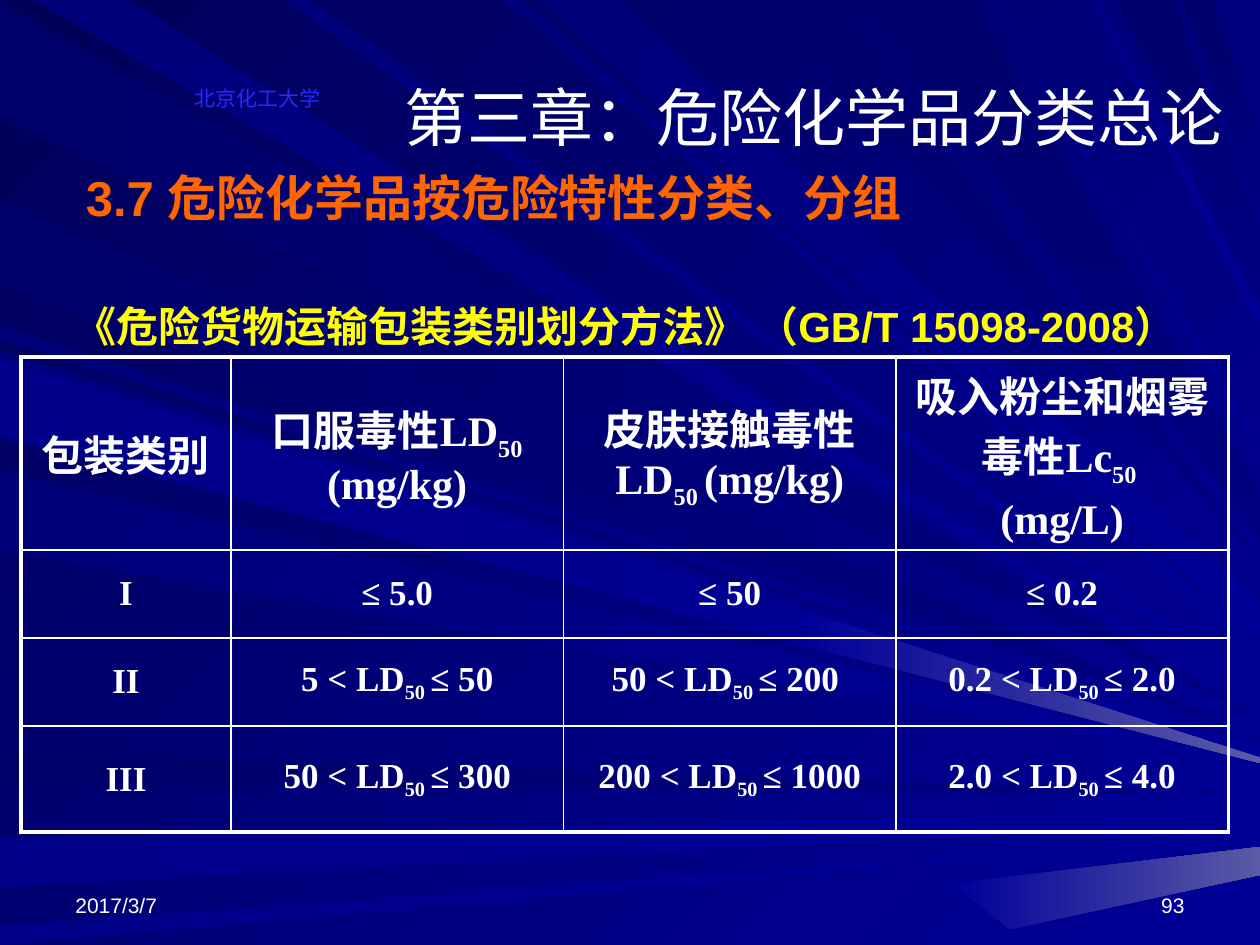
from dataclasses import dataclass

from lxml import etree
from pptx import Presentation
from pptx import util as u
from pptx.dml.color import RGBColor
from pptx.enum import text
from pptx.oxml import ns


@dataclass(frozen=True)
class Theme:
    sans: str = "Arial"
    serif: str = "Times New Roman"
    white: str = "FFFFFF"
    yellow: str = "FFFF00"
    orange: str = "FF6600"
    school: str = "2929FF"
    backdrop: tuple = ("000058", "000099", 45)
    dusk: tuple = ("00006B", "000080", 0)
    shade: tuple = ("00006D", "000080", 90)
    glow: tuple = ("000078", "000099", 45)
    gleam: tuple = ("000088", "000099", 0)
    haze: tuple = ("000099", "5A5AA6", 0)
    title_size: float = 36
    heading_size: float = 28
    header_size: float = 24
    value_size: float = 20
    small_size: float = 12
    outer_line: float = 2.25
    inner_line: float = 1


THEME = Theme()
PAGE_WIDTH, PAGE_HEIGHT = 720, 540
LEFT, CENTER, RIGHT = text.PP_ALIGN.LEFT, text.PP_ALIGN.CENTER, text.PP_ALIGN.RIGHT
TOP, MIDDLE, BOTTOM = text.MSO_ANCHOR.TOP, text.MSO_ANCHOR.MIDDLE, text.MSO_ANCHOR.BOTTOM

RAYS = (
    ("left", THEME.dusk, 1, 67, 410, 0),
    ("top", THEME.glow, 19, 73, 405, 0),
    ("left", THEME.dusk, 429, 449, 454, 0),
    ("left", THEME.gleam, 479, 507, 463, 6),
    ("left", THEME.gleam, 529, 540, 477, 0),
    ("left", THEME.glow, 186, 194, 424, 0),
    ("left", THEME.dusk, 114, 164, 421, 0),
    ("top", THEME.glow, 287, 300, 371, 4),
    ("top", THEME.glow, 307, 354, 345, 20),
    ("top", THEME.shade, 436, 476, 321, 0),
    ("top", THEME.shade, 639, 670, 132, 39),
    ("top", THEME.shade, 676, 694, 82, 38),
    ("left", THEME.glow, 200, 246, 429, 4),
    ("left", THEME.glow, 269, 315, 436, 0),
    ("top", THEME.glow, 162, 178, 394, 4),
    ("top", THEME.shade, 494, 554, 281, 27),
    ("top", THEME.glow, 565, 570, 255, 4),
    ("top", THEME.gleam, 623, 628, 179, 7),
    ("left", THEME.gleam, 204, 250, 433, 3),
)
HAZES = (
    [(544, 505), (720, 484), (720, 500), (577, 531)],
    [(459, 349), (720, 433), (720, 436), (456, 368)],
)

COLUMN_WIDTHS = (120, 190, 190, 190)
ROW_HEIGHTS = (110, 50.4, 50.4, 60.5)
TOXICITY_ROWS = (
    ("包装类别", "口服毒性LD|50 |(mg/kg)", "皮肤接触毒性LD|50 |(mg/kg)", "吸入粉尘和烟雾毒性Lc|50 \n(mg/L)"),
    ("I", "≤ 5.0", "≤ 50", "≤ 0.2"),
    ("II", "5 < LD|50 |≤ 50", "50 < LD|50 |≤ 200 ", "0.2 < LD|50 |≤ 2.0"),
    ("III", "50 < LD|50 |≤ 300", "200 < LD|50 |≤ 1000", "2.0 < LD|50 |≤ 4.0"),
)


def paint(fill, start, end, angle):
    fill.gradient()
    fill.gradient_angle = (360 - angle) % 360
    for stop, color in zip(fill.gradient_stops, (start, end)):
        stop.color.rgb = RGBColor.from_string(color)


def add_outline(slide, points, blend):
    corners = [(u.Pt(x), u.Pt(y)) for x, y in points]
    builder = slide.shapes.build_freeform(*corners[0])
    builder.add_line_segments(corners[1:], close=True)
    outline = builder.convert_to_shape()
    outline.shadow.inherit = False
    outline.line.fill.background()
    paint(outline.fill, *blend)


def add_ray(slide, edge, blend, first, second, tip, spread):
    near = [(first, 0), (second, 0)] if edge == "top" else [(0, second), (0, first)]
    far = [(PAGE_WIDTH, tip), (PAGE_WIDTH, tip + spread)]
    add_outline(slide, near + far, blend)


def add_span(para, words, size, color, font, bold):
    span = para.add_run()
    span.text = words
    span.font.name = font
    span.font.size = u.Pt(size)
    span.font.bold = bold
    span.font.color.rgb = RGBColor.from_string(color)
    return span


def write_box(box, place, words, size, color, align=LEFT, anchor=TOP, bold=False):
    box.left, box.top, box.width, box.height = [u.Pt(length) for length in place]
    frame = box.text_frame
    frame.word_wrap = True
    frame.auto_size = text.MSO_AUTO_SIZE.NONE
    frame.vertical_anchor = anchor
    para = frame.paragraphs[0]
    para.alignment = align
    add_span(para, words, size, color, THEME.sans, bold)
    return para


def add_label(slide, place, *content, **style):
    box = slide.shapes.add_textbox(0, 0, 0, 0)
    return write_box(box, place, *content, **style)


def write_cell(cell, words, size):
    cell.vertical_anchor = MIDDLE
    frame = cell.text_frame
    for index, line in enumerate(words.split("\n")):
        para = frame.add_paragraph() if index else frame.paragraphs[0]
        para.alignment = CENTER
        if index:
            para.space_before = u.Pt(0.2 * size)
        for place, part in enumerate(line.split("|")):
            span = add_span(para, part, size, THEME.white, THEME.serif, True)
            if place % 2:
                span._r.get_or_add_rPr().set("baseline", "-25000")


def border_cell(cell, outer_sides):
    properties = cell._tc.get_or_add_tcPr()
    for side in "LRTB":
        width = THEME.outer_line if side in outer_sides else THEME.inner_line
        line = etree.SubElement(properties, ns.qn(f"a:ln{side}"), w=str(u.Pt(width)))
        fill = etree.SubElement(line, ns.qn("a:solidFill"))
        etree.SubElement(fill, ns.qn("a:srgbClr"), val=THEME.white)


def add_toxicity_table(slide, left, top):
    lengths = (left, top, sum(COLUMN_WIDTHS), sum(ROW_HEIGHTS))
    rows, columns = len(ROW_HEIGHTS), len(COLUMN_WIDTHS)
    table = slide.shapes.add_table(rows, columns, *[u.Pt(length) for length in lengths]).table
    table.first_row = table.horz_banding = False
    for column, width in zip(table.columns, COLUMN_WIDTHS):
        column.width = u.Pt(width)
    for r, (height, row_words) in enumerate(zip(ROW_HEIGHTS, TOXICITY_ROWS)):
        table.rows[r].height = u.Pt(height)
        for c, words in enumerate(row_words):
            cell = table.cell(r, c)
            write_cell(cell, words, THEME.value_size if r else THEME.header_size)
            edges = {"L": c == 0, "R": c == columns - 1, "T": r == 0, "B": r == rows - 1}
            border_cell(cell, [side for side, outer in edges.items() if outer])
            cell.fill.background()


def main():
    deck = Presentation()
    deck.slide_width, deck.slide_height = u.Pt(PAGE_WIDTH), u.Pt(PAGE_HEIGHT)
    page = deck.slides.add_slide(deck.slide_layouts[5])
    paint(page.background.fill, *THEME.backdrop)
    for ray in RAYS:
        add_ray(page, *ray)
    for haze in HAZES:
        add_outline(page, haze, THEME.haze)

    small, white = THEME.small_size, THEME.white
    add_label(page, (36, 492, 168, 36), "2017/3/7", small, white, anchor=BOTTOM)
    add_label(page, (516, 492, 168, 36), "93", small, white, align=RIGHT, anchor=BOTTOM)
    title = page.shapes.title
    page.shapes._spTree.append(title._element)
    write_box(title, (210, 21.6, 510, 90), "第三章：危险化学品分类总论",
              THEME.title_size, white, align=CENTER, anchor=MIDDLE)
    add_toxicity_table(page, 12, 204)
    add_label(page, (96, 42, 102, 25), "北京化工大学", small, THEME.school, align=CENTER, anchor=BOTTOM)
    add_label(page, (24.5, 168, 666, 36.5), "《危险货物运输包装类别划分方法》 （GB/T 15098-2008）",
              THEME.header_size, THEME.yellow, align=CENTER, bold=True)
    heading = add_label(page, (42, 96, 588, 36), "3.7 危险化学品按危险特性分类、分组",
                        THEME.heading_size, THEME.orange, bold=True)
    heading.line_spacing = 0.9
    deck.save("out.pptx")


if __name__ == "__main__":
    main()
